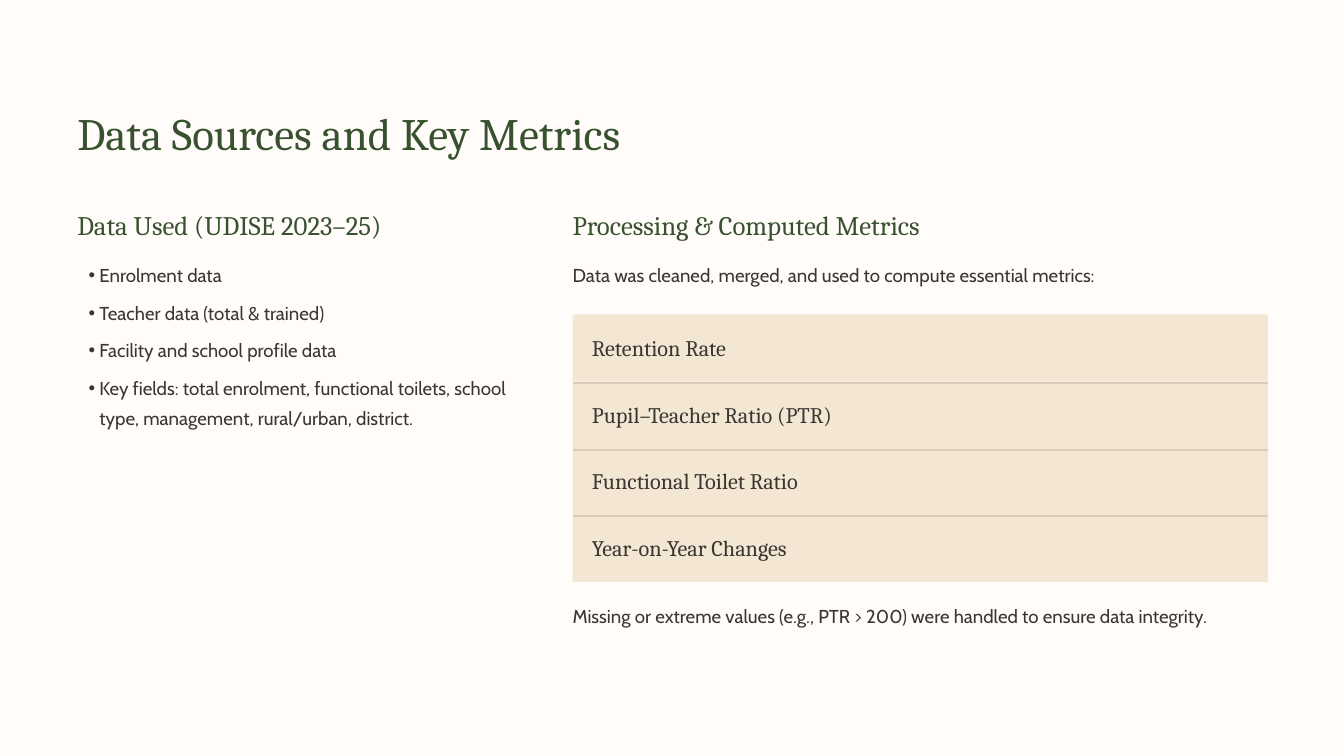
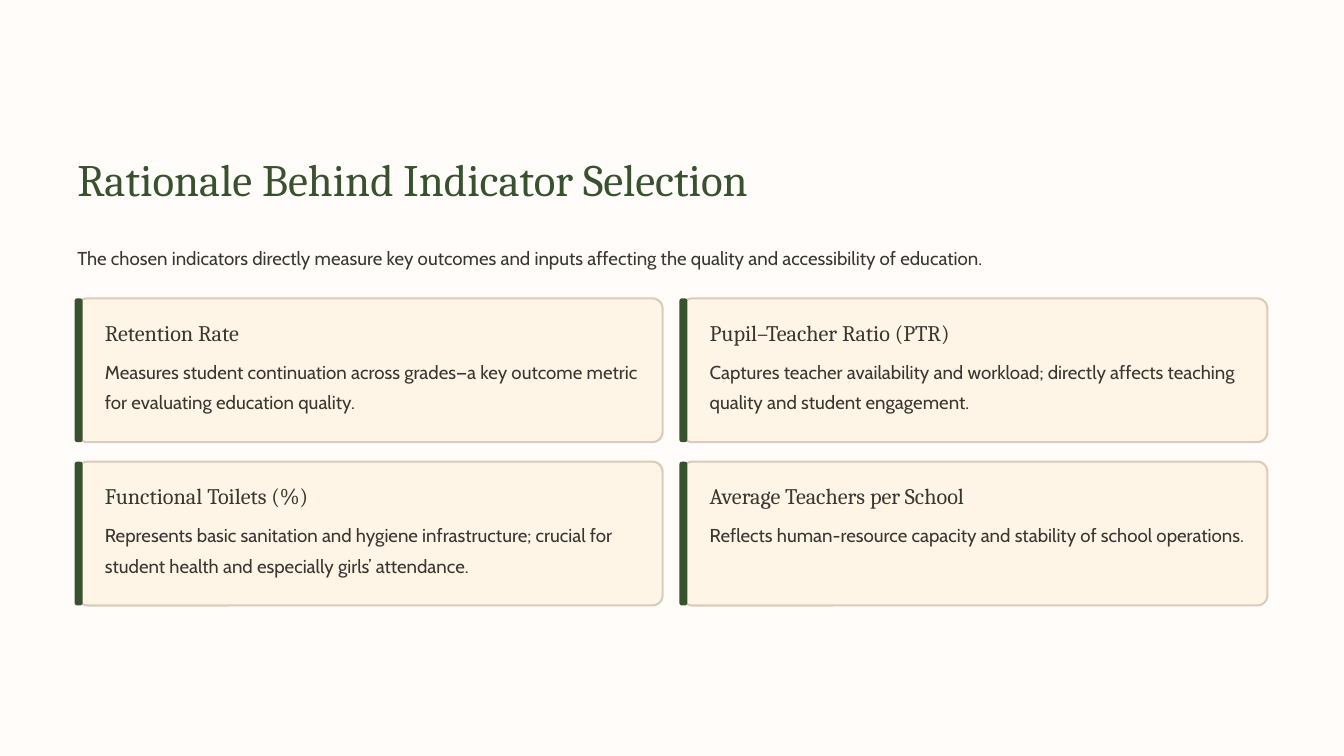
from pptx import Presentation
from pptx.dml.color import RGBColor
from pptx.enum.shapes import MSO_CONNECTOR, MSO_SHAPE
from pptx.util import Inches, Pt
from lxml.etree import SubElement
from pptx.oxml.ns import qn

GREEN, INK = "38512F", "3A3630"
PAPER, SAND, CREAM, RULE = "FFFCFA", "F3E7D4", "FEF5E7", "D9CDBA"

# Text styles: font, size, line spacing, colour
TITLE = ("Cambria", 48.1, 60.6, GREEN)
HEADING = ("Cambria", 28.7, 36.2, GREEN)
LABEL = ("Cambria", 23.8, 30, INK)
BODY = ("Cabin", 20, 32.5, INK)

LEFT = 1.15
RIGHT_COLUMN, RIGHT_WIDTH = 8.52, 10.35


def add_text(page, lines, style, left, top, width, height, bulleted=False):
    font_name, size, spacing, color = style
    box = page.shapes.add_textbox(Inches(left), Inches(top), Inches(width), Inches(height))
    frame = box.text_frame
    frame.word_wrap = True
    frame.margin_left = frame.margin_right = frame.margin_top = frame.margin_bottom = 0
    frame.text = "\n".join(lines)
    for index, para in enumerate(frame.paragraphs):
        para.line_spacing = Pt(spacing)
        if bulleted:
            properties = para._p.get_or_add_pPr()
            properties.set("marL", str(Inches(0.33)))
            properties.set("indent", str(Inches(-0.16)))
            if index:
                para.space_before = Pt(7.7)
            SubElement(properties, qn("a:buFont")).set("typeface", "Arial")
            SubElement(properties, qn("a:buChar")).set("char", "•")
        for span in para.runs:
            span.font.name = font_name
            span.font.size = Pt(size)
            span.font.color.rgb = RGBColor.from_string(color)


def add_panel(page, kind, left, top, width, height, radius, fill, outline=None):
    panel = page.shapes.add_shape(kind, Inches(left), Inches(top), Inches(width), Inches(height))
    panel.shadow.inherit = False
    if radius:
        panel.adjustments[0] = radius / min(width, height)
    panel.fill.solid()
    panel.fill.fore_color.rgb = RGBColor.from_string(fill)
    if outline:
        panel.line.color.rgb = RGBColor.from_string(outline)
        panel.line.width = Pt(2.25)
    else:
        panel.line.fill.background()


deck = Presentation()
deck.slide_width, deck.slide_height = Inches(20), Inches(11.25)

# Shared background and title
pages = []
for title, title_top in [
    ("Data Sources and Key Metrics", 1.53),
    ("Rationale Behind Indicator Selection", 2.22),
]:
    page = deck.slides.add_slide(deck.slide_layouts[6])
    page.background.fill.solid()
    page.background.fill.fore_color.rgb = RGBColor.from_string(PAPER)
    add_text(page, [title], TITLE, LEFT, title_top, 17.7, 0.86)
    pages.append(page)
sources_page, rationale_page = pages

# Slide 1: data used
add_text(sources_page, ["Data Used (UDISE 2023–25)"], HEADING, LEFT, 3.08, 6.66, 0.54)
data_used = [
    "Enrolment data",
    "Teacher data (total & trained)",
    "Facility and school profile data",
    "Key fields: total enrolment, functional toilets, school type, management, "
    "rural/urban, district.",
]
add_text(sources_page, data_used, BODY, LEFT, 3.81, 6.66, 2.68, bulleted=True)

# Slide 1: processing notes
for line, style, top in [
    ("Processing & Computed Metrics", HEADING, 3.08),
    ("Data was cleaned, merged, and used to compute essential metrics:", BODY, 3.81),
    ("Missing or extreme values (e.g., PTR > 200) were handled to ensure data integrity.",
     BODY, 8.88),
]:
    add_text(sources_page, [line], style, RIGHT_COLUMN, top, RIGHT_WIDTH, 0.55)

# Slide 1: list of metrics, with a rule above every row but the first
metrics = [
    "Retention Rate",
    "Pupil–Teacher Ratio (PTR)",
    "Functional Toilet Ratio",
    "Year-on-Year Changes",
]
list_top, list_height = 4.68, 3.98
row_height = list_height / len(metrics)
for row, metric in enumerate(metrics):
    row_top = list_top + row * row_height
    kind, radius = (MSO_SHAPE.RECTANGLE, 0) if row else (MSO_SHAPE.ROUND_2_SAME_RECTANGLE, 0.04)
    add_panel(sources_page, kind, RIGHT_COLUMN, row_top, RIGHT_WIDTH, row_height, radius, SAND)
    if row:
        rule_y = Inches(row_top + 0.02)
        rule = sources_page.shapes.add_connector(
            MSO_CONNECTOR.STRAIGHT, Inches(RIGHT_COLUMN), rule_y,
            Inches(RIGHT_COLUMN + RIGHT_WIDTH), rule_y)
        rule.line.color.rgb = RGBColor.from_string(RULE)
        rule.line.width = Pt(2.25)
        SubElement(rule._element.spPr, qn("a:effectLst"))
    add_text(sources_page, [metric], LABEL, RIGHT_COLUMN + 0.29, row_top + 0.27, 9.7, 0.44)

# Slide 2: introduction
add_text(rationale_page, [
    "The chosen indicators directly measure key outcomes and inputs affecting the quality "
    "and accessibility of education."
], BODY, LEFT, 3.56, 17.7, 0.55)

# Slide 2: two by two indicator cards
indicators = [
    ("Retention Rate",
     "Measures student continuation across grades—a key outcome metric for evaluating "
     "education quality."),
    ("Pupil–Teacher Ratio (PTR)",
     "Captures teacher availability and workload; directly affects teaching quality and "
     "student engagement."),
    ("Functional Toilets (%)",
     "Represents basic sanitation and hygiene infrastructure; crucial for student health "
     "and especially girls’ attendance."),
    ("Average Teachers per School",
     "Reflects human-resource capacity and stability of school operations."),
]
card_width, card_height, gap = 8.71, 2.14, 0.29
for index, (indicator, reason) in enumerate(indicators):
    row, column = divmod(index, 2)
    left = LEFT + column * (card_width + gap)
    top = 4.44 + row * (card_height + gap)
    add_panel(rationale_page, MSO_SHAPE.ROUNDED_RECTANGLE, left, top,
              card_width, card_height, 0.15, CREAM, RULE)
    add_panel(rationale_page, MSO_SHAPE.ROUNDED_RECTANGLE, left - 0.04, top,
              0.12, card_height, 0.04, GREEN)
    add_text(rationale_page, [indicator], LABEL, left + 0.41, top + 0.29, 7.98, 0.44)
    add_text(rationale_page, [reason], BODY, left + 0.41, top + 0.81, 7.98, 1.01)

deck.save("out.pptx")
